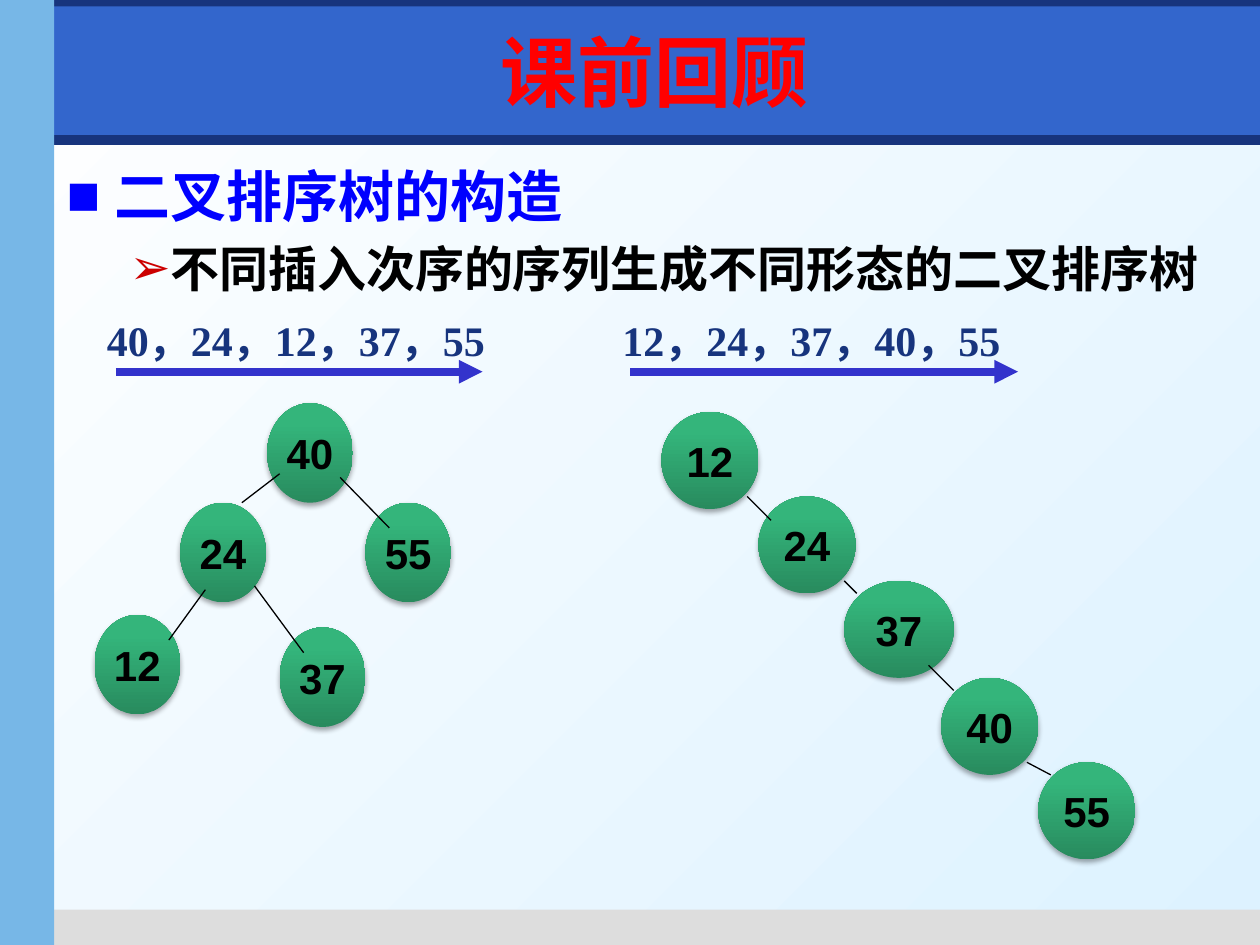
from dataclasses import dataclass
from lxml.etree import SubElement
from pptx import Presentation
from pptx.dml.color import RGBColor
from pptx.enum.shapes import MSO_CONNECTOR, MSO_SHAPE
from pptx.enum.text import MSO_ANCHOR, PP_ALIGN
from pptx.oxml.ns import qn
from pptx.util import Inches, Pt


@dataclass(frozen=True)
class Theme:
    navy: str = "17347D"
    blue: str = "3366CC"
    sky: str = "77B7E7"
    grey: str = "DDDDDD"
    red: str = "FF0000"
    heading: str = "0000FF"
    marker: str = "CC0000"
    arrow: str = "3333CC"
    black: str = "000000"
    background: tuple = ((0, "FFFFFF"), (100, "DDF2FF"))
    node: tuple = ((0, "288B5E"), (80, "34B57B"), (100, "32B87B"))
    title_size: int = 44
    heading_size: int = 32
    point_size: int = 28
    label_size: int = 24
    sans: str = "Arial"
    serif: str = "Times New Roman"
    title_font: str = "DejaVu Sans"


THEME = Theme()
WIDTH, HEIGHT = 10, 7.5
SIDEBAR = 0.43

# Content
TITLE = "课前回顾"
POINTS = [  # text, size, colour, bullet, bullet colour, margin, hanging indent
    ("二叉排序树的构造", THEME.heading_size, THEME.heading, "■", THEME.heading, 0.38, 0.38),
    ("不同插入次序的序列生成不同形态的二叉排序树", THEME.point_size, THEME.black,
     "➢", THEME.marker, 0.81, 0.31),
]
BARS = [  # left, top, width, height, colour
    (SIDEBAR, 1.07, WIDTH - SIDEBAR, 0.08, THEME.navy),
    (SIDEBAR, 7.22, WIDTH - SIDEBAR, 0.28, THEME.grey),
    (0, 0, WIDTH, 0.21, THEME.navy),
    (SIDEBAR, 0.05, WIDTH - SIDEBAR, 1.02, THEME.blue),
    (0, 0, SIDEBAR, HEIGHT, THEME.sky),
]
TREES = [
    {
        "sequence": "40，24，12，37，55", "box": (0.75, 2.45, 3.46, 0.5), "arrow": (0.92, 3.83),
        "node_size": (0.68, 0.79), "wide_nodes": {},
        "nodes": {"40": (2.12, 3.2), "24": (1.43, 3.99), "55": (2.9, 3.99),
                  "12": (0.75, 4.88), "37": (2.22, 4.98)},
        "edges": [(2.22, 3.76, 1.92, 3.99), (1.63, 4.68, 1.34, 5.08),
                  (2.02, 4.65, 2.41, 5.18), (2.7, 3.79, 3.09, 4.19)],
    },
    {
        "sequence": "12，24，37，40，55", "box": (4.84, 2.45, 3.51, 0.5), "arrow": (5, 8.08),
        "node_size": (0.77, 0.77), "wide_nodes": {"37": 0.87},
        "nodes": {"12": (5.25, 3.27), "24": (6.02, 3.94), "37": (6.7, 4.61),
                  "40": (7.47, 5.38), "55": (8.24, 6.05)},
        "edges": [(5.93, 3.94, 6.12, 4.13), (6.7, 4.61, 6.8, 4.71),
                  (7.37, 5.28, 7.57, 5.48), (8.15, 6.05, 8.34, 6.15)],
    },
]
ARROW_Y = 2.95


def inches(*values):
    return [Inches(value) for value in values]


def write(paragraph, text, *, size, color, font=THEME.sans, align=None):
    paragraph.text = text
    paragraph.alignment = align
    paragraph.font.size = Pt(size)
    paragraph.font.bold = True
    paragraph.font.name = font
    paragraph.font.color.rgb = RGBColor.from_string(color)


def set_bullet(paragraph, character, color, margin, hanging):
    properties = paragraph._p.get_or_add_pPr()
    properties.set("marL", str(Inches(margin)))
    properties.set("indent", str(-Inches(hanging)))
    bullet_color = SubElement(properties, qn("a:buClr"))
    SubElement(bullet_color, qn("a:srgbClr"), val=color)
    SubElement(properties, qn("a:buFont"), typeface=THEME.sans)
    SubElement(properties, qn("a:buChar"), char=character)


def set_gradient(owner, fill, stops, angle):
    fill.gradient()
    fill.gradient_angle = angle
    stop_list = next(owner.element.iter(qn("a:gsLst")))
    for stop in list(stop_list):
        stop_list.remove(stop)
    for position, color in stops:
        stop = SubElement(stop_list, qn("a:gs"), pos=str(position * 1000))
        SubElement(stop, qn("a:srgbClr"), val=color)


def add_bar(slide, left, top, width, height, color):
    shape = slide.shapes.add_shape(MSO_SHAPE.RECTANGLE, *inches(left, top, width, height))
    shape.shadow.inherit = False
    shape.fill.solid()
    shape.fill.fore_color.rgb = RGBColor.from_string(color)
    shape.line.fill.background()


def add_text_box(slide, box):
    frame = slide.shapes.add_textbox(*inches(*box)).text_frame
    frame.word_wrap = True
    return frame


def add_line(shapes, points, *, color, width, arrow=False):
    line = shapes.add_connector(MSO_CONNECTOR.STRAIGHT, *inches(*points))
    line.line.color.rgb = RGBColor.from_string(color)
    line.line.width = Pt(width)
    if arrow:
        SubElement(line.line._get_or_add_ln(), qn("a:tailEnd"), type="triangle")
    SubElement(line.element.spPr, qn("a:effectLst"))


def add_node(shapes, label, position, size):
    node = shapes.add_shape(MSO_SHAPE.OVAL, *inches(*position, *size))
    set_gradient(node, node.fill, THEME.node, 90)
    node.line.fill.background()
    node.shadow.inherit = False
    effects = node.element.spPr.find(qn("a:effectLst"))
    shadow = SubElement(effects, qn("a:outerShdw"), blurRad=str(Pt(3.1)),
                        dist=str(Pt(1.8)), dir="5400000", rotWithShape="0")
    shadow_color = SubElement(shadow, qn("a:srgbClr"), val=THEME.black)
    SubElement(shadow_color, qn("a:alpha"), val="35000")
    frame = node.text_frame
    frame.word_wrap = False
    frame.vertical_anchor = MSO_ANCHOR.MIDDLE
    write(frame.paragraphs[0], label, size=THEME.label_size, color=THEME.black,
          align=PP_ALIGN.CENTER)


def add_tree(slide, tree):
    group = slide.shapes.add_group_shape()
    width, height = tree["node_size"]
    for label, position in tree["nodes"].items():
        add_node(group.shapes, label, position, (tree["wide_nodes"].get(label, width), height))
    for edge in tree["edges"]:
        add_line(group.shapes, edge, color=THEME.black, width=0.75)


def add_sequence(slide, tree):
    frame = add_text_box(slide, tree["box"])
    write(frame.paragraphs[0], tree["sequence"], size=THEME.label_size,
          color=THEME.navy, font=THEME.serif)
    start, end = tree["arrow"]
    add_line(slide.shapes, (start, ARROW_Y, end, ARROW_Y), color=THEME.arrow,
             width=4.5, arrow=True)


def main():
    presentation = Presentation()
    presentation.slide_width, presentation.slide_height = inches(WIDTH, HEIGHT)
    slide = presentation.slides.add_slide(presentation.slide_layouts[5])

    # Background and frame
    set_gradient(slide, slide.background.fill, THEME.background, 315)
    for bar in BARS:
        add_bar(slide, *bar)

    # Title, brought in front of the header bar
    title = slide.shapes.title
    title.left, title.top, title.width, title.height = inches(0.59, 0.13, 9.21, 0.87)
    title.text_frame.vertical_anchor = MSO_ANCHOR.MIDDLE
    write(title.text_frame.paragraphs[0], TITLE, size=THEME.title_size, color=THEME.red,
          font=THEME.title_font, align=PP_ALIGN.CENTER)
    slide.shapes.element.append(title.element)

    # Bullet points
    frame = add_text_box(slide, (SIDEBAR, 1.23, 9.37, 5.9))
    for index, (text, size, color, *bullet) in enumerate(POINTS):
        paragraph = frame.add_paragraph() if index else frame.paragraphs[0]
        set_bullet(paragraph, *bullet)
        write(paragraph, text, size=size, color=color)
        if index:
            paragraph.level = index
            paragraph.space_before = Pt(size * 0.2)

    # Trees with their insertion sequences
    for tree in TREES:
        add_tree(slide, tree)
        add_sequence(slide, tree)

    presentation.save("out.pptx")


if __name__ == "__main__":
    main()
